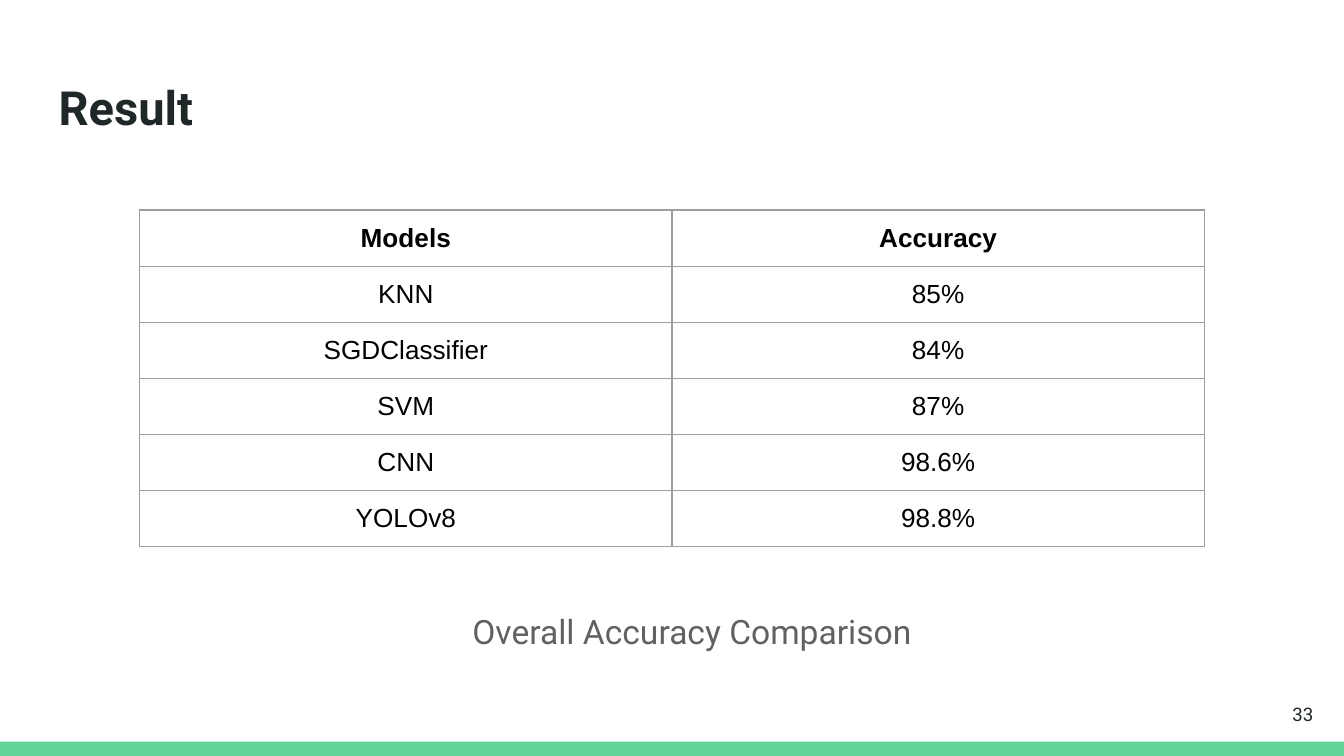
from dataclasses import dataclass

from lxml.etree import SubElement
from pptx import Presentation
from pptx.dml.color import RGBColor
from pptx.enum.shapes import MSO_SHAPE
from pptx.enum.text import MSO_ANCHOR, MSO_AUTO_SIZE, PP_ALIGN
from pptx.oxml.ns import qn
from pptx.util import Cm, Pt


@dataclass(frozen=True)
class Theme:
    heading_font: str = "Roboto"
    table_font: str = "Arial"
    dark: str = "202729"
    gray: str = "616161"
    black: str = "000000"
    border: str = "9E9E9E"
    accent: str = "63D297"
    title_size: float = 25.2
    caption_size: float = 18
    table_size: float = 14
    number_size: float = 10
    border_width: float = 0.75


THEME = Theme()
SLIDE_WIDTH, SLIDE_HEIGHT = Cm(25.4), Cm(14.29)
INSET = Cm(0.25)
ACCURACIES = [
    ("Models", "Accuracy"),
    ("KNN", "85%"),
    ("SGDClassifier", "84%"),
    ("SVM", "87%"),
    ("CNN", "98.6%"),
    ("YOLOv8", "98.8%"),
]


def set_margins(target):
    target.margin_left = target.margin_right = INSET
    target.margin_top = target.margin_bottom = INSET


def write_text(frame, text, font_name, size, color, alignment, bold=False):
    paragraph = frame.paragraphs[0]
    paragraph.alignment = alignment
    run = paragraph.add_run()
    run.text = text
    run.font.name = font_name
    run.font.size = Pt(size)
    run.font.bold = bold
    run.font.color.rgb = RGBColor.from_string(color)


def format_frame(frame, anchor):
    set_margins(frame)
    frame.word_wrap = True
    frame.auto_size = MSO_AUTO_SIZE.NONE
    frame.vertical_anchor = anchor


def add_footer_bar(slide):
    height = Cm(0.27)
    bar = slide.shapes.add_shape(
        MSO_SHAPE.RECTANGLE, 0, SLIDE_HEIGHT - height, SLIDE_WIDTH, height
    )
    bar.shadow.inherit = False
    bar.fill.solid()
    bar.fill.fore_color.rgb = RGBColor.from_string(THEME.accent)
    bar.line.fill.background()


def set_title(slide, text):
    title = slide.shapes.title
    title.left, title.top = Cm(0.86), Cm(1.24)
    title.width, title.height = Cm(23.67), Cm(1.6)
    format_frame(title.text_frame, MSO_ANCHOR.TOP)
    write_text(title.text_frame, text, THEME.heading_font, THEME.title_size,
               THEME.dark, PP_ALIGN.LEFT, bold=True)


def add_text(slide, text, box, size, color, alignment, anchor=MSO_ANCHOR.TOP):
    frame = slide.shapes.add_textbox(*box).text_frame
    format_frame(frame, anchor)
    write_text(frame, text, THEME.heading_font, size, color, alignment)


def set_borders(cell):
    properties = cell._tc.get_or_add_tcPr()
    for side in ("lnL", "lnR", "lnT", "lnB"):
        line = SubElement(properties, qn(f"a:{side}"),
                          w=str(Pt(THEME.border_width)))
        fill = SubElement(line, qn("a:solidFill"))
        SubElement(fill, qn("a:srgbClr"), val=THEME.border)


def add_accuracy_table(slide, rows):
    column_width, row_height = Cm(10.06), Cm(1.06)
    column_count = len(rows[0])
    table = slide.shapes.add_table(
        len(rows), column_count, Cm(2.64), Cm(3.97),
        column_width * column_count, row_height * len(rows)
    ).table
    table.horz_banding = False
    for row_index, values in enumerate(rows):
        for column_index, value in enumerate(values):
            cell = table.cell(row_index, column_index)
            set_margins(cell)
            set_borders(cell)
            cell.fill.background()
            write_text(cell.text_frame, value, THEME.table_font,
                       THEME.table_size, THEME.black, PP_ALIGN.CENTER,
                       bold=row_index == 0)


def main():
    presentation = Presentation()
    presentation.slide_width = SLIDE_WIDTH
    presentation.slide_height = SLIDE_HEIGHT
    slide = presentation.slides.add_slide(presentation.slide_layouts[5])

    add_footer_bar(slide)
    set_title(slide, "Result")
    add_accuracy_table(slide, ACCURACIES)
    add_text(slide, "Overall Accuracy Comparison",
             (Cm(6.48), Cm(11.3), Cm(13.2), Cm(1.37)),
             THEME.caption_size, THEME.gray, PP_ALIGN.CENTER)
    add_text(slide, "33", (Cm(23.55), Cm(12.95), Cm(1.52), Cm(1.09)),
             THEME.number_size, THEME.dark, PP_ALIGN.RIGHT, MSO_ANCHOR.MIDDLE)

    presentation.save("out.pptx")


if __name__ == "__main__":
    main()
